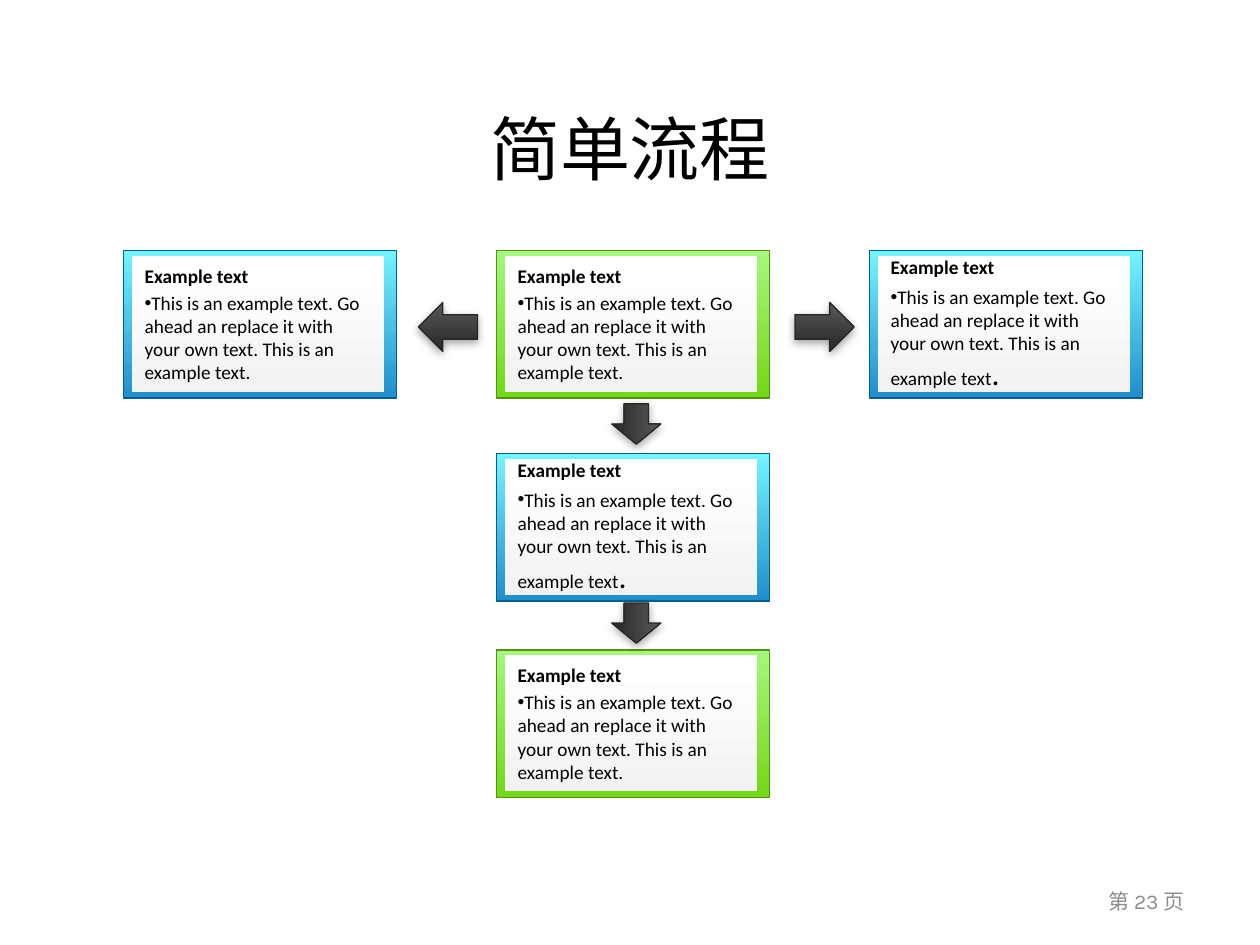
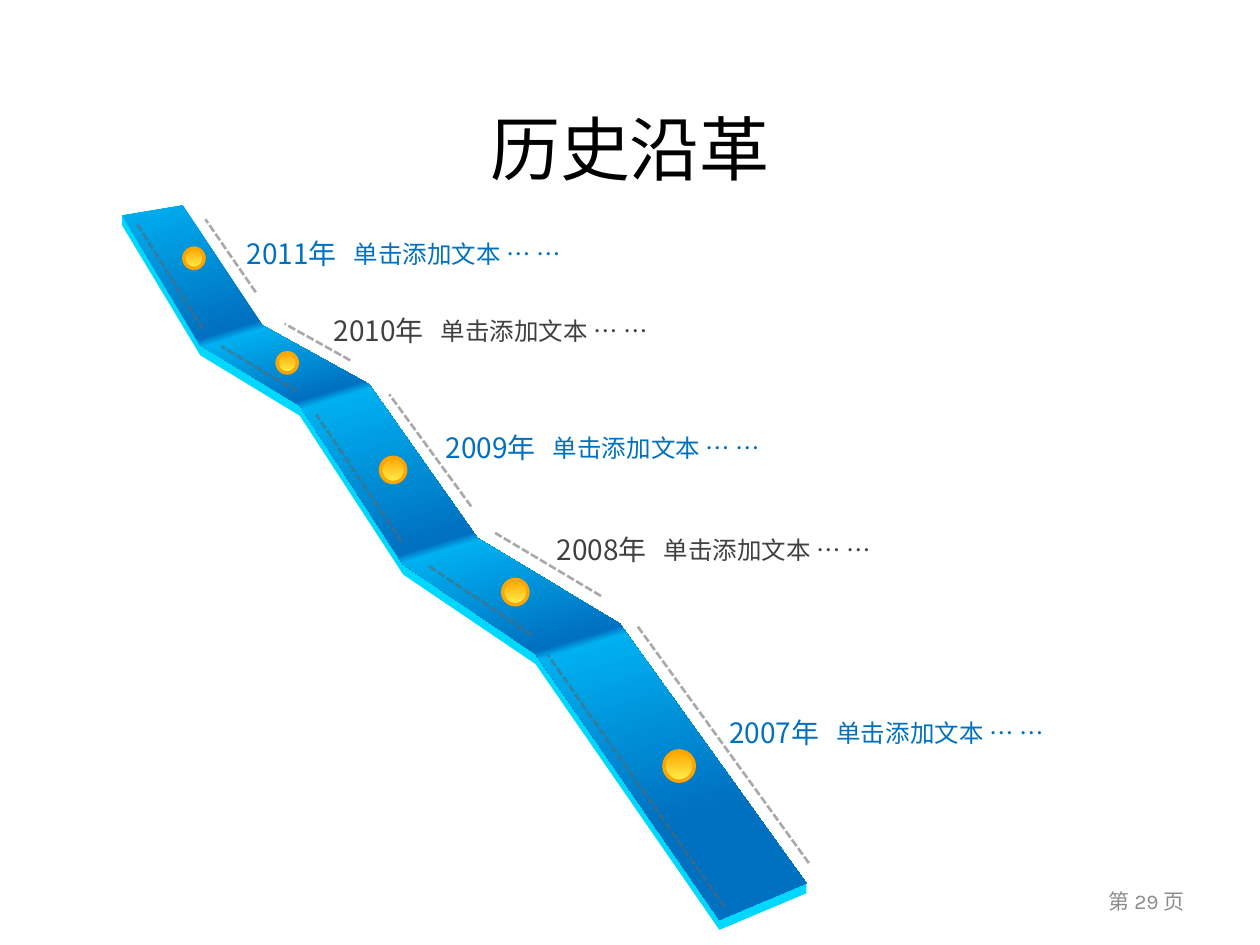
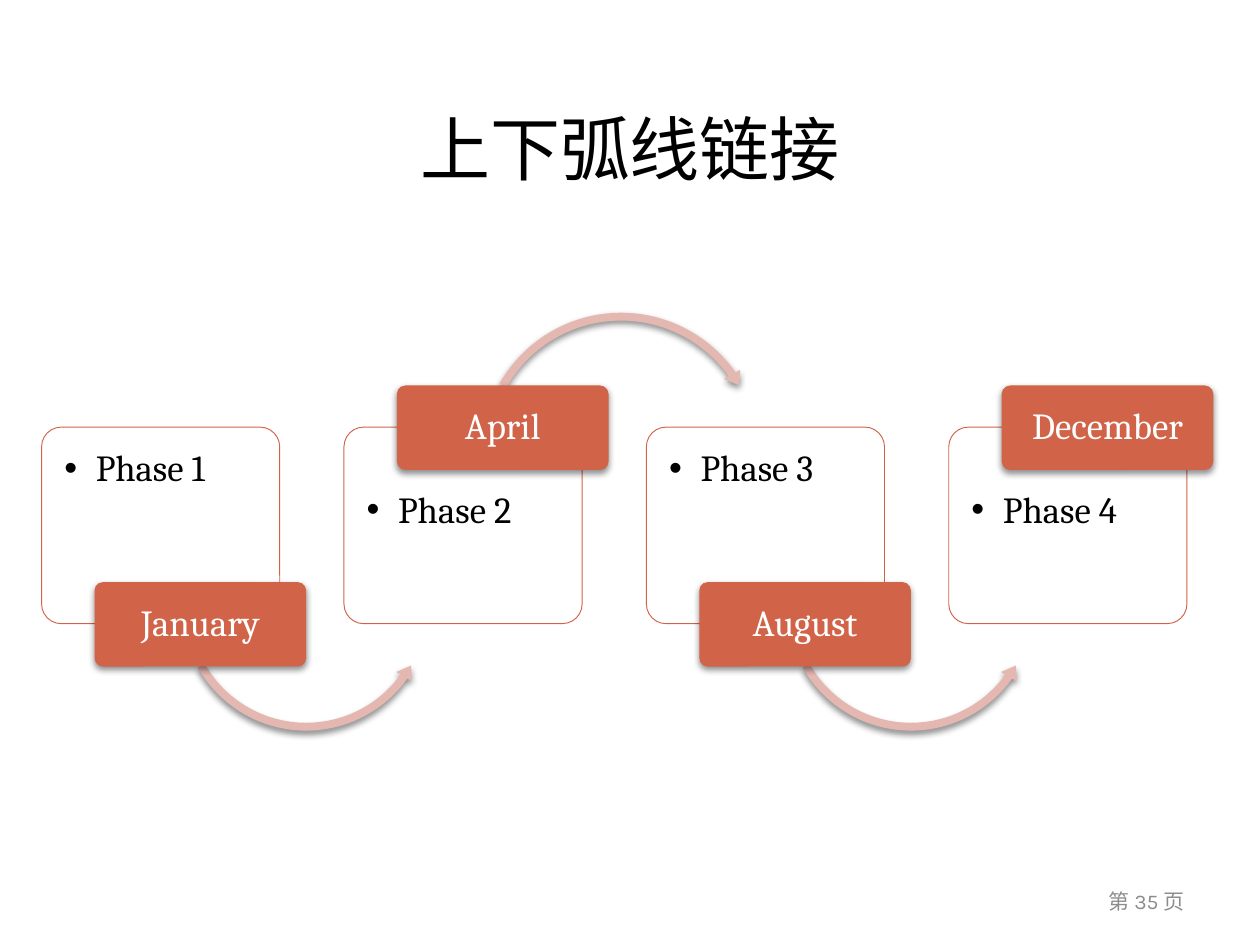
import pptx
import pptx.util
import pptx.dml.color
import pptx.enum.dml
import pptx.enum.shapes
import pptx.enum.text
import pptx.oxml
import pptx.oxml.ns

Inches, Pt = pptx.util.Inches, pptx.util.Pt
SHAPE = pptx.enum.shapes.MSO_SHAPE
ALIGN = pptx.enum.text.PP_ALIGN
MIDDLE = pptx.enum.text.MSO_ANCHOR.MIDDLE
qn = pptx.oxml.ns.qn

# Shared look
BLACK, WHITE, GREY = "000000", "FFFFFF", "8C8C8C"
BLUE, DARK, RUST, PINK = "0070C0", "404040", "D16349", "E5B7B1"
SKY = "00B0F0"
HEAD, CARD, HAN, SERIF = "Karla", "Calibri", "Noto Sans CJK SC", "Cambria"

# Slide 1: flow of cards
FLOW = ("简单流程", 23)
CARD_HEAD = "Example text"
CARD_BODY = ("This is an example text. Go ahead an replace it with "
             "your own text. This is an example text")
AQUA = ([(0, "74F4FF"), (100, "208ECD")], "00618E")
LIME = ([(0, "A6F77D"), (100, "72D816")], "4F950F")
PAPER = [(9, WHITE), (100, "F2F2F2")]
STEEL = [(0, "262626"), (100, "595959")]
COLS, ROWS = (0.98, 3.94, 6.9), (1.99, 3.6, 5.16)
CARDS = [  # column, row, look, size of the full stop
    (0, 0, AQUA, 11), (1, 0, LIME, 11), (2, 0, AQUA, 18),
    (1, 1, AQUA, 18), (1, 2, LIME, 11)]
ARROWS = [  # kind, box, turn
    (SHAPE.LEFT_ARROW, (3.32, 2.4, 0.47, 0.39), 0),
    (SHAPE.RIGHT_ARROW, (6.31, 2.4, 0.47, 0.39), 0),
    (SHAPE.RIGHT_ARROW, (4.89, 3.17, 0.32, 0.39), 90),
    (SHAPE.RIGHT_ARROW, (4.89, 4.75, 0.32, 0.39), 90)]

# Slide 2: history road
ROAD = ("历史沿革", 29)
NOTE = "单击添加文本 … …"
YEARS = [  # year, label corner, dot corner, dot size
    ("2011年", (1.86, 1.83), (1.46, 1.97), 0.16),
    ("2010年", (2.55, 2.44), (2.2, 2.8), 0.16),
    ("2009年", (3.44, 3.37), (3.02, 3.63), 0.2),
    ("2008年", (4.32, 4.18), (3.99, 4.6), 0.2),
    ("2007年", (5.69, 5.63), (5.27, 5.96), 0.24)]
EDGE = [(0.97, 1.71), (1.45, 1.63), (2.08, 2.58), (2.93, 3.05),
        (3.79, 4.27), (4.92, 4.95), (6.4, 7.01), (5.71, 7.3),
        (4.25, 5.19), (3.2, 4.48), (2.38, 3.22), (1.59, 2.74)]
DEPTH = 0.08
FOLDS = [(0, SKY), (17, BLUE), (18, SKY), (27, BLUE), (28, SKY),
         (47, BLUE), (48, SKY), (62, BLUE), (63, SKY), (85, BLUE)]
GOLD = [(0, "FFF050"), (100, "FFA500")]
DASHES = [
    (6.42, 6.85, 5.06, 4.97), (4.77, 4.73, 3.93, 4.23),
    (3.74, 4.02, 3.09, 3.13), (2.78, 2.86, 2.26, 2.57),
    (2.03, 2.32, 1.63, 1.74), (5.75, 7.2, 4.35, 5.2),
    (4.22, 5.04, 3.4, 4.49), (3.19, 4.3, 2.51, 3.29),
    (2.36, 3.11, 1.76, 2.75), (1.61, 2.61, 1.09, 1.78)]

# Slide 3: phases joined by arcs
ARCS = ("上下弧线链接", 35)
PHASES = [("Phase 1", "January"), ("Phase 2", "April"),
          ("Phase 3", "August"), ("Phase 4", "December")]
LOW_ARC = (SHAPE.LEFT_CIRCULAR_ARROW, 1.07, 3.78, 2.06,
           (0.03, 3.706, 21.461, 90.245, 0.035))
HIGH_ARC = (SHAPE.CIRCULAR_ARROW, 1.05, 2.44, 2.3,
            (0.027, 3.292, 194.953, 125.755, 0.032))


def rgb(hue):
    return pptx.dml.color.RGBColor.from_string(hue)


def node(host, tag, **attrs):
    """Append one XML element."""
    child = pptx.oxml.parse_xml(
        f'<{tag} xmlns:a="http://schemas.openxmlformats.org/drawingml/2006/main"/>')
    for key, val in attrs.items():
        child.set(key, str(val))
    host.append(child)
    return child


def fade(host, pct):
    """Set the opacity of the first plain colour inside host."""
    node(next(host.iter(qn("a:srgbClr"))), "a:alpha", val=pct * 1000)


def paint(shape, fill, angle=90, line=None, width=0.75):
    """Fill with a colour or with gradient stops, then set the outline."""
    shape.shadow.inherit = False
    if isinstance(fill, str):
        shape.fill.solid()
        shape.fill.fore_color.rgb = rgb(fill)
    else:
        shape.fill.gradient()
        shape.fill.gradient_angle = 360 - angle
        stops = next(shape._element.spPr.iter(qn("a:gsLst")))
        for old in list(stops):
            stops.remove(old)
        for pos, hue in fill:
            stop = node(stops, "a:gs", pos=pos * 1000)
            node(stop, "a:srgbClr", val=hue)
    if line:
        shape.line.color.rgb = rgb(line)
        shape.line.width = Pt(width)
    else:
        shape.line.fill.background()


def shade(shape, pct, blur, dist, angle=90):
    effect = shape._element.spPr.find(qn("a:effectLst"))
    drop = node(effect, "a:outerShdw", blurRad=Pt(blur), dist=Pt(dist),
                dir=angle * 60000, algn="ctr", rotWithShape=0)
    node(drop, "a:srgbClr", val=BLACK)
    fade(drop, pct)


def put(slide, kind, box, fill, **look):
    shape = slide.shapes.add_shape(kind, *map(Inches, box))
    paint(shape, fill, **look)
    return shape


def style(par, size, font, hue, align=ALIGN.LEFT, bold=False):
    par.alignment = align
    for run in par.runs:
        run.font.size, run.font.name, run.font.bold = Pt(size), font, bold
        run.font.color.rgb = rgb(hue)
        node(run.font._element, "a:ea", typeface=font)


def dot(par, indent=0):
    props = par._p.get_or_add_pPr()
    props.set("marL", str(Inches(indent)))
    props.set("indent", str(-Inches(indent)))
    node(props, "a:buFont", typeface="Arial")
    node(props, "a:buChar", char="•")


def label(slide, box, text, *look, anchor=None, pad=(0.1, 0.05)):
    shape = slide.shapes.add_textbox(*map(Inches, box))
    frame = shape.text_frame
    frame.word_wrap = True
    frame.margin_left = frame.margin_right = Inches(pad[0])
    frame.margin_top = frame.margin_bottom = Inches(pad[1])
    frame.vertical_anchor = anchor
    frame.text = text
    style(frame.paragraphs[0], *look)
    return frame.paragraphs[0]


def page(deck, title, number):
    """Add a slide with its title and page number."""
    slide = deck.slides.add_slide(deck.slide_layouts[5])
    head = slide.shapes.title
    head.left, head.top, head.width, head.height = map(Inches, (0.5, 0.78, 9, 0.78))
    head.text_frame.text = title
    head.text_frame.vertical_anchor = MIDDLE
    style(head.text_frame.paragraphs[0], 40, HEAD, BLACK, ALIGN.CENTER)
    label(slide, (7.17, 6.95, 2.33, 0.4), f"第 {number} 页",
          12, HEAD, GREY, ALIGN.RIGHT, anchor=MIDDLE)
    return slide


def flow(deck):
    slide = page(deck, *FLOW)
    for col, row, (fill, line), size in CARDS:
        x, y = COLS[col], ROWS[row]
        put(slide, SHAPE.RECTANGLE, (x, y, 2.17, 1.17), fill, line=line)
        frame = put(slide, SHAPE.RECTANGLE, (x + 0.07, y + 0.04, 2, 1.08),
                    PAPER).text_frame
        frame.word_wrap = True
        frame.vertical_anchor = MIDDLE
        frame.text = CARD_HEAD
        head, body = frame.paragraphs[0], frame.add_paragraph()
        body.text = CARD_BODY
        body.add_run().text = "."
        style(head, 11, CARD, BLACK, bold=True)
        style(body, 11, CARD, BLACK)
        body.runs[-1].font.size = Pt(size)
        head.space_before, body.space_before = Pt(2.2), Pt(0.2 * size)
        dot(body)
    for kind, box, turn in ARROWS:
        arrow = put(slide, kind, box, STEEL, angle=270, line=STEEL[0][1])
        arrow.rotation = turn
        shade(arrow, 35, 5, 1.8)


def road(deck):
    slide = page(deck, *ROAD)
    # Side of the road, then its top
    for drop, fill in ((DEPTH, "00D8FF"), (0, FOLDS)):
        pts = [(Inches(x), Inches(y + drop)) for x, y in EDGE]
        if drop:  # join both levels at the outer corners
            pts[:2] = [(Inches(x), Inches(y)) for x, y in EDGE[:2]]
            pts[6:7] = [(Inches(EDGE[6][0]), Inches(EDGE[6][1])), pts[6]]
            pts.append((Inches(EDGE[0][0]), Inches(EDGE[0][1] + drop)))
            # keep the far side under the top face
            pts[2:6] = [(Inches(x), Inches(y)) for x, y in EDGE[2:6]]
        pen = slide.shapes.build_freeform(*pts[0])
        pen.add_line_segments(pts[1:])
        paint(pen.convert_to_shape(), fill, angle=73)
    for ends in DASHES:
        dash = slide.shapes.add_connector(
            pptx.enum.shapes.MSO_CONNECTOR.STRAIGHT, *map(Inches, ends))
        dash.line.color.rgb = rgb("646464")
        dash.line.width = Pt(1.5)
        dash.line.dash_style = pptx.enum.dml.MSO_LINE.SQUARE_DOT
        fade(dash._element.spPr, 55)
        node(dash._element.spPr, "a:effectLst")
    for i, (year, (x, y), spot, size) in enumerate(YEARS):
        put(slide, SHAPE.OVAL, (*spot, size, size), GOLD, angle=270,
            line=GOLD[1][1], width=2)
        hue = DARK if i % 2 else BLUE
        label(slide, (x, y, 1.1, 0.37), year, 16, HAN, hue)
        label(slide, (x + 0.85, y + 0.02, 2.76, 0.34), NOTE, 14, HAN, hue)


def arcs(deck):
    slide = page(deck, *ARCS)
    for i, (phase, month) in enumerate(PHASES):
        x, high = 0.33 + 2.4 * i, i % 2
        box = put(slide, SHAPE.ROUNDED_RECTANGLE, (x, 3.39, 1.89, 1.56), WHITE,
                  line=RUST, width=0.55)
        box.adjustments[0] = 0.1
        fade(box._element.spPr, 90)
        par = label(slide, (x + 0.04, 3.76 if high else 3.43, 1.82, 1.15), phase,
                    21, SERIF, BLACK, pad=(0.14, 0.14))
        par.line_spacing = 0.9
        dot(par, 0.25)
        # Arc to the next phase
        if i < len(PHASES) - 1:
            kind, shift, y, size, bends = HIGH_ARC if high else LOW_ARC
            arc = put(slide, kind, (x + shift, y, size, size), PINK)
            for k, bend in enumerate(bends):
                arc.adjustments[k] = bend
            shade(arc, 45, 4, 2)
        # Month tag
        x, y = x + 0.42, 3.06 if high else 4.62
        tag = put(slide, SHAPE.ROUNDED_RECTANGLE, (x, y, 1.68, 0.67), RUST)
        tag.adjustments[0] = 0.1
        shade(tag, 45, 4, 2)
        par = label(slide, (x + 0.02, y + 0.02, 1.64, 0.63), month, 21, SERIF,
                    WHITE, ALIGN.CENTER, anchor=MIDDLE, pad=(0.04, 0.03))
        par.line_spacing = 0.9


def main():
    deck = pptx.Presentation()
    deck.slide_width, deck.slide_height = Inches(10), Inches(7.5)
    for build in (flow, road, arcs):
        build(deck)
    deck.save("out.pptx")


if __name__ == "__main__":
    main()
